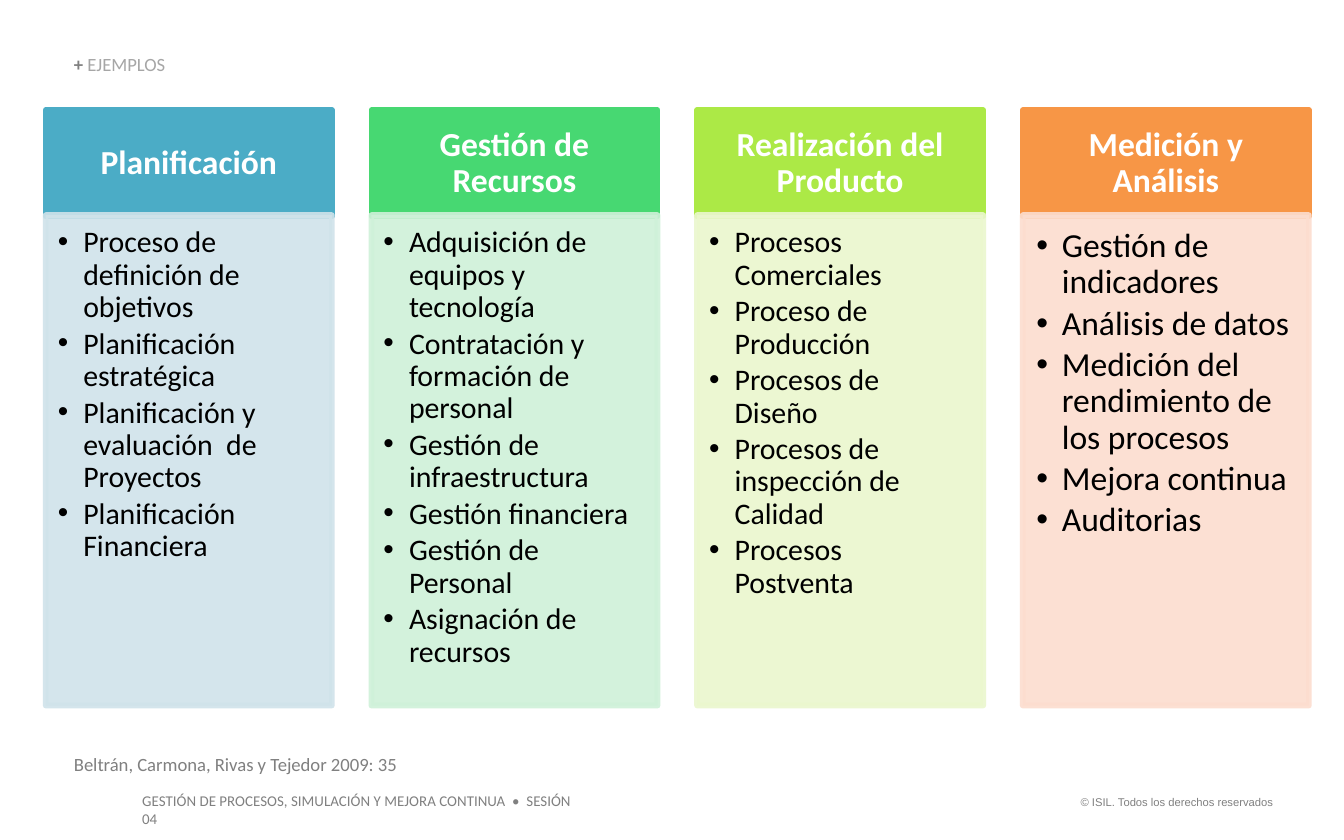
"""Build a slide with four process groups, each a heading above a bulleted panel."""
from dataclasses import dataclass

from pptx import Presentation
from pptx.dml.color import RGBColor
from pptx.enum import shapes, text
from pptx.oxml import ns
from pptx.oxml import xmlchemy
from pptx.util import Inches, Pt
from lxml import etree


@dataclass(frozen=True)
class Theme:
    """Colours, fonts and type sizes."""
    font: str = "Calibri"
    legal_font: str = "Arial"
    white: str = "FFFFFF"
    black: str = "000000"
    grey: str = "808080"
    pale_grey: str = "A6A6A6"
    heading: float = 18
    caption: float = 10
    footer: float = 8
    legal: float = 6
    border: float = 3
    leading: float = 0.9


@dataclass(frozen=True)
class Group:
    """A process group with its colours and processes."""
    name: str
    color: str
    tint: str
    processes: tuple[str, ...]
    size: float = 16


@dataclass(frozen=True)
class Place:
    """A rectangle in inches."""
    left: float
    top: float
    width: float
    height: float

    def lengths(self) -> tuple:
        return tuple(Inches(n) for n in (self.left, self.top, self.width, self.height))


THEME = Theme()
FIRST_LEFT, LAST_LEFT, WIDTH = 0.34, 7.61, 2.13
HEAD_TOP, HEAD_HEIGHT = 0.82, 0.79
BODY_TOP, BODY_HEIGHT = 1.6, 3.65
HEAD_INSETS = (0.14, 0.08, 0.14, 0.08)
BODY_INSETS = (0.09, 0.09, 0.12, 0.14)
BASE_SIZE = 16
INDENT = 0.19

GROUPS = (
    Group("Planificación", "4BACC6", "D0E3EA", (
        "Proceso de definición de objetivos",
        "Planificación estratégica",
        "Planificación y evaluación  de Proyectos",
        "Planificación Financiera",
    )),
    Group("Gestión de Recursos", "47D872", "CFF1D9", (
        "Adquisición de equipos y tecnología",
        "Contratación y formación de personal",
        "Gestión de infraestructura",
        "Gestión financiera",
        "Gestión de Personal",
        "Asignación de recursos",
    )),
    Group("Realización del Producto", "ACE946", "EBF7CE", (
        "Procesos Comerciales",
        "Proceso de Producción",
        "Procesos de Diseño",
        "Procesos de inspección de Calidad",
        "Procesos Postventa",
    )),
    Group("Medición y Análisis", "F79646", "FCDDCF", (
        "Gestión de indicadores",
        "Análisis de datos",
        "Medición del rendimiento de los procesos",
        "Mejora continua",
        "Auditorias",
    ), 18),
)


def style(span, size: float, color: str, bold: bool = False, font: str = THEME.font) -> None:
    """Set the type of a run."""
    span.font.name = font
    span.font.size = Pt(size)
    span.font.bold = bold
    span.font.color.rgb = RGBColor.from_string(color)


def set_insets(frame, insets: tuple[float, ...]) -> None:
    """Set the left, top, right and bottom margins of a text frame."""
    sides = (Inches(n) for n in insets)
    frame.margin_left, frame.margin_top, frame.margin_right, frame.margin_bottom = sides


def add_bullet(para) -> None:
    """Give a paragraph a hanging bullet."""
    properties = para._p.get_or_add_pPr()
    properties.set("marL", str(Inches(INDENT)))
    properties.set("indent", str(-Inches(INDENT)))
    etree.SubElement(properties, ns.qn("a:buFont")).set("typeface", THEME.legal_font)
    etree.SubElement(properties, ns.qn("a:buChar")).set("char", "•")


def add_panel(page, place: Place, color: str, insets: tuple[float, ...], opacity: int = 100):
    """Draw a filled rectangle and return its text frame."""
    box = page.shapes.add_shape(shapes.MSO_SHAPE.RECTANGLE, *place.lengths())
    box.shadow.inherit = False
    box.fill.solid()
    box.fill.fore_color.rgb = RGBColor.from_string(color)
    box.line.color.rgb = RGBColor.from_string(color)
    box.line.width = Pt(THEME.border)
    if opacity < 100:
        for paint in box.element.spPr.iter(ns.qn("a:srgbClr")):
            etree.SubElement(paint, ns.qn("a:alpha")).set("val", str(opacity * 1000))
    frame = box.text_frame
    frame.word_wrap = True
    set_insets(frame, insets)
    return frame


def add_group(page, group: Group, left: float) -> None:
    """Draw a heading and the bulleted panel below it."""
    head = add_panel(page, Place(left, HEAD_TOP, WIDTH, HEAD_HEIGHT), group.color, HEAD_INSETS)
    head.vertical_anchor = text.MSO_ANCHOR.MIDDLE
    head.text = group.name
    para = head.paragraphs[0]
    para.alignment = text.PP_ALIGN.CENTER
    para.line_spacing = THEME.leading
    style(para.runs[0], THEME.heading, THEME.white, bold=True)

    insets = tuple(n * group.size / BASE_SIZE for n in BODY_INSETS)
    body = add_panel(page, Place(left, BODY_TOP, WIDTH, BODY_HEIGHT), group.tint, insets, 90)
    body.vertical_anchor = text.MSO_ANCHOR.TOP
    body.text = "\n".join(group.processes)
    for para in body.paragraphs:
        add_bullet(para)
        para.alignment = text.PP_ALIGN.LEFT
        para.line_spacing = THEME.leading
        para.space_after = Pt(0.15 * group.size)
        style(para.runs[0], group.size, THEME.black)


def add_note(page, place: Place, words: str, size: float, font: str = THEME.font,
             wrap: bool = True, align=text.PP_ALIGN.LEFT):
    """Add a line of small grey text and return its frame."""
    frame = page.shapes.add_textbox(*place.lengths()).text_frame
    frame.word_wrap = wrap
    frame.text = words
    frame.paragraphs[0].alignment = align
    style(frame.paragraphs[0].runs[0], size, THEME.grey, font=font)
    return frame


def set_title(page) -> None:
    """Place and format the slide title."""
    title = page.shapes.title
    title.left, title.top, title.width, title.height = Place(0.55, 0.41, 2.66, 0.15).lengths()
    frame = title.text_frame
    set_insets(frame, (0, 0, 0, 0))
    frame.auto_size = text.MSO_AUTO_SIZE.NONE
    frame.vertical_anchor = text.MSO_ANCHOR.BOTTOM
    para = frame.paragraphs[0]
    para.alignment = text.PP_ALIGN.LEFT
    para.line_spacing = THEME.leading
    for words, color, bold in (("+ ", THEME.grey, True), ("EJEMPLOS", THEME.pale_grey, False)):
        span = para.add_run()
        span.text = words
        style(span, THEME.caption, color, bold)


def main() -> None:
    """Build and save the deck."""
    deck = Presentation()
    deck.slide_width, deck.slide_height = Inches(10), Inches(6.25)
    page = deck.slides.add_slide(deck.slide_layouts[5])
    set_title(page)
    add_note(page, Place(7.88, 5.87, 1.69, 0.2), "© ISIL. Todos los derechos reservados",
             THEME.legal, THEME.legal_font, False, text.PP_ALIGN.RIGHT)
    add_note(page, Place(0.96, 5.84, 3.53, 0.24),
             "GESTIÓN DE PROCESOS, SIMULACIÓN Y MEJORA CONTINUA  •  SESIÓN 04", THEME.footer)
    citation = add_note(page, Place(0.55, 5.6, 3.09, 0.17),
                        "Beltrán, Carmona, Rivas y Tejedor 2009: 35", THEME.caption)
    set_insets(citation, (0, 0, 0, 0))
    pitch = (LAST_LEFT - FIRST_LEFT) / (len(GROUPS) - 1)
    for index, group in enumerate(GROUPS):
        add_group(page, group, FIRST_LEFT + index * pitch)
    deck.save("out.pptx")


if __name__ == "__main__":
    main()
